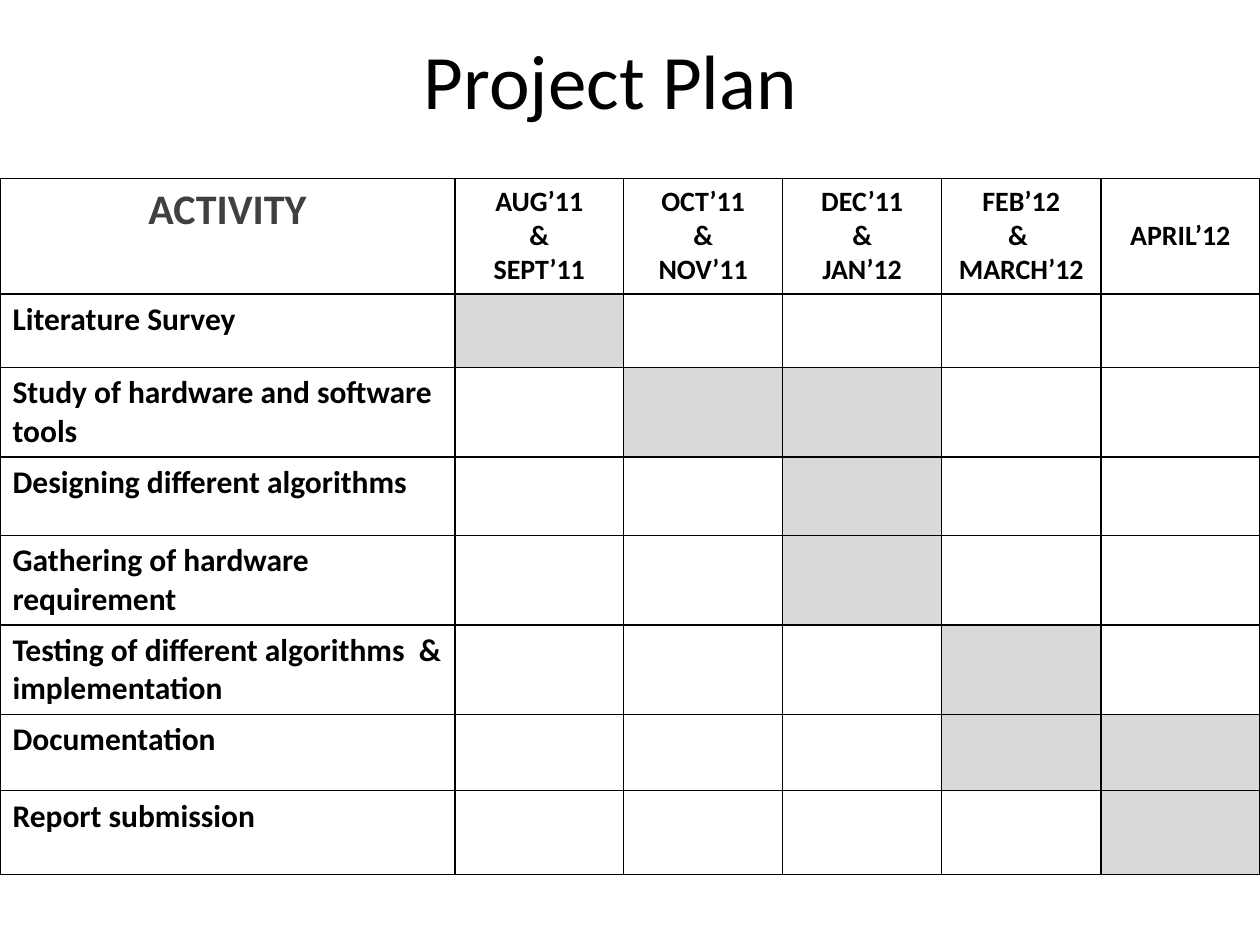
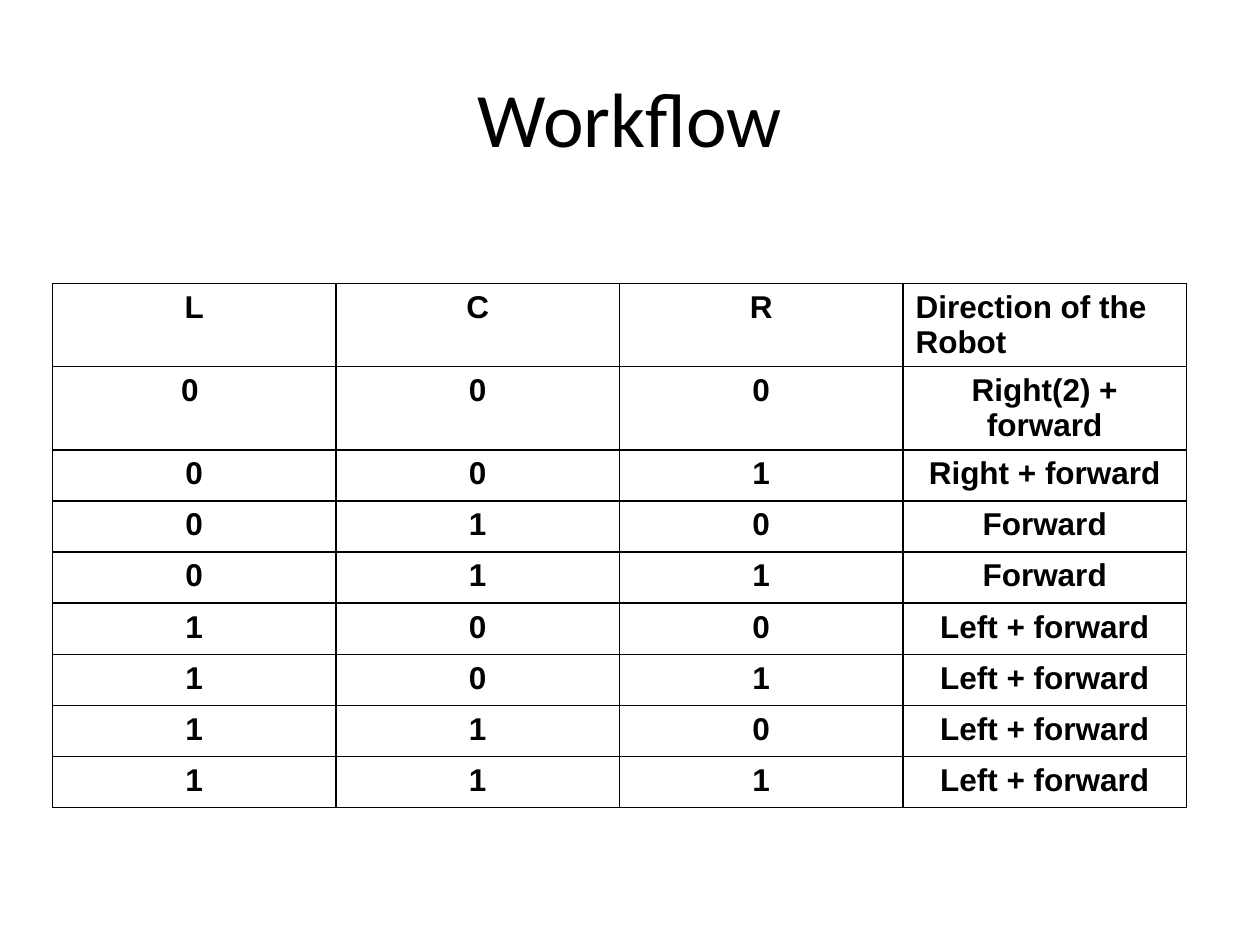
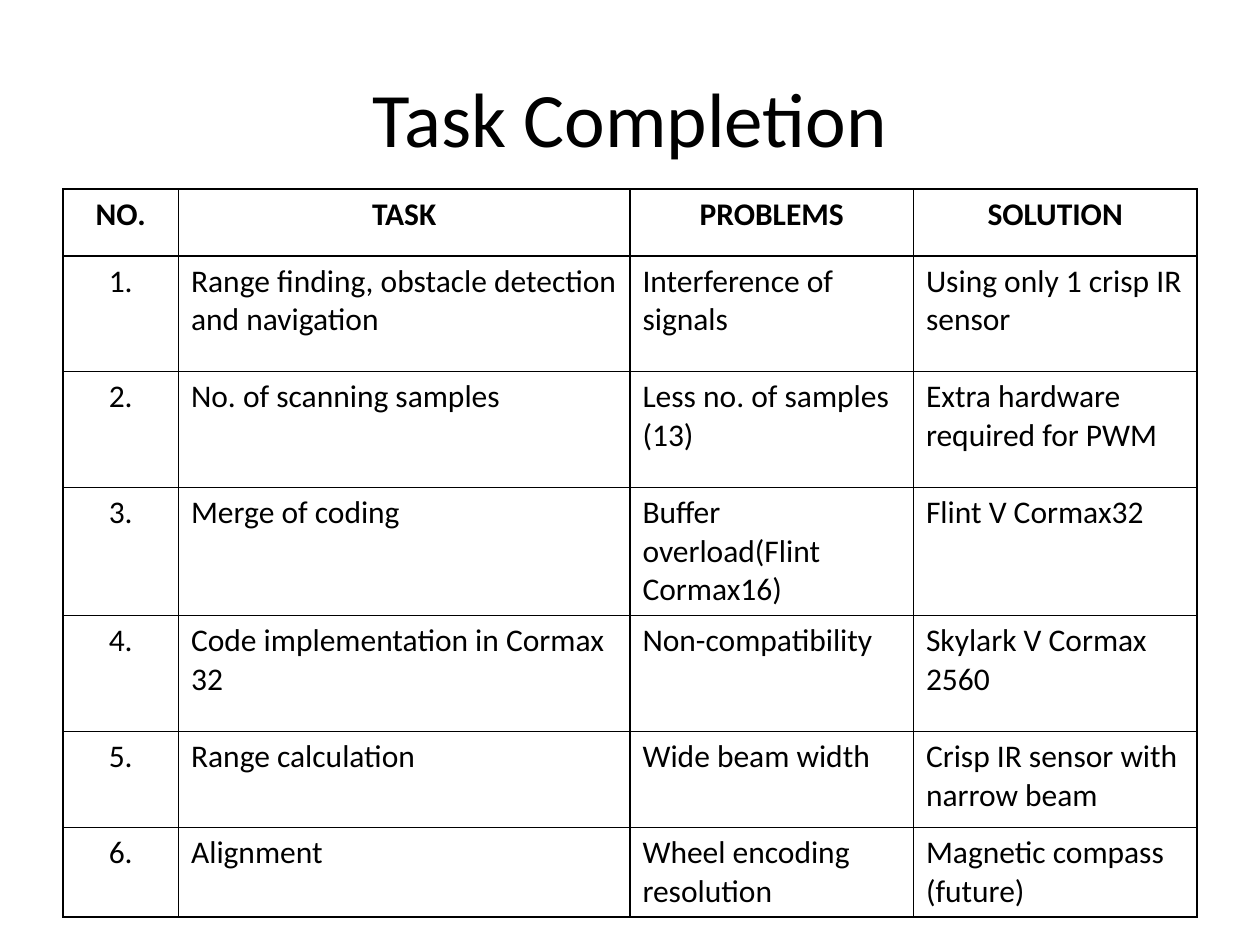
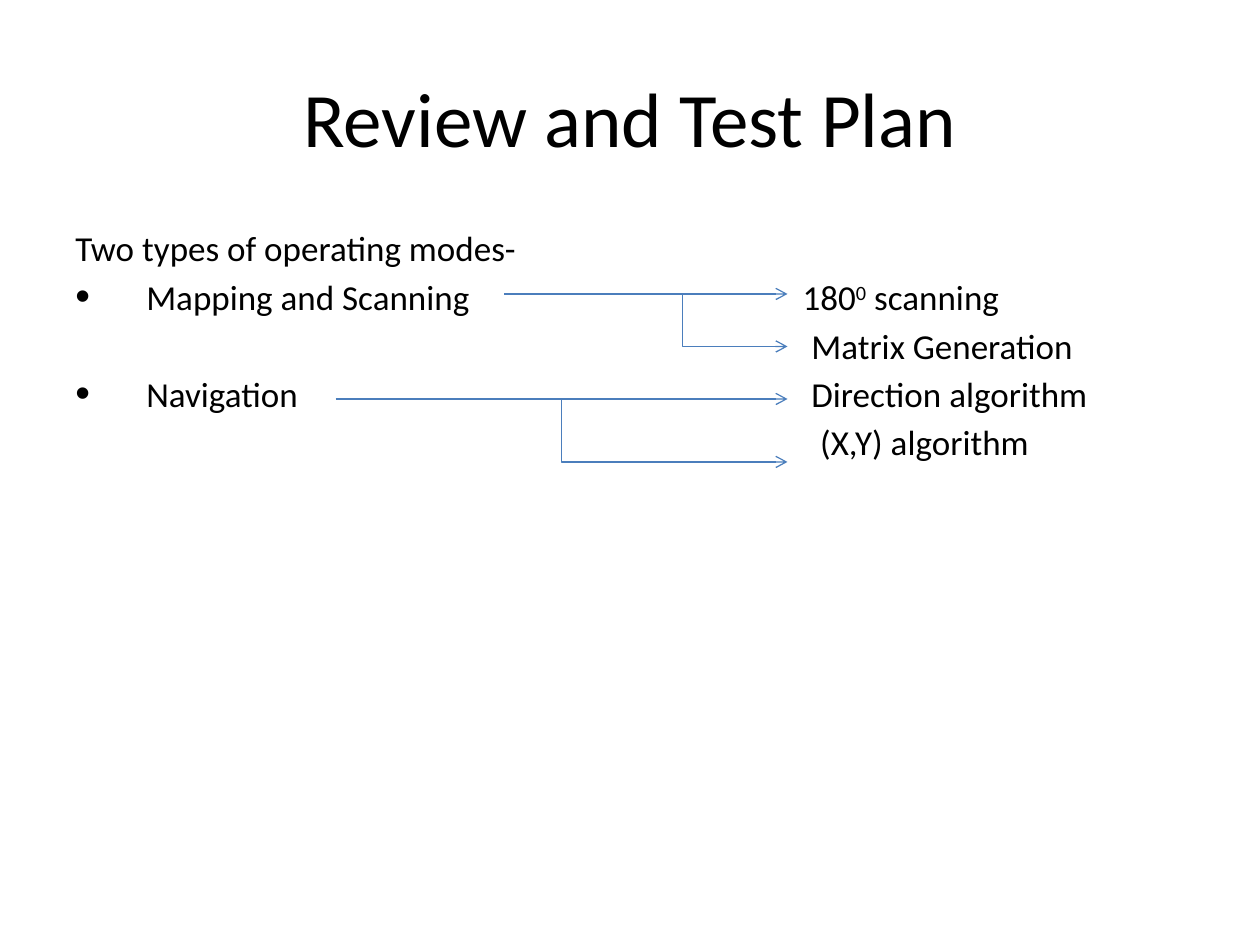
from dataclasses import dataclass
from typing import Callable, Optional, Sequence

from lxml import etree
from pptx import Presentation
from pptx import util as u
from pptx.dml.color import RGBColor
from pptx.enum import shapes, text
from pptx.oxml.ns import qn

# Shared look
BLACK, GREY, SHADE, BLUE = "000000", "404040", "D9D9D9", "4B7EBC"
CENTER, LEFT = text.PP_ALIGN.CENTER, text.PP_ALIGN.LEFT
TITLE_ONLY = 5
LINE_PITCH, LINE_GAP = 28, 3.6


@dataclass(frozen=True)
class CellStyle:
    size: float = 18
    bold: bool = True
    font: str = "Calibri"
    color: str = BLACK
    align: text.PP_ALIGN = LEFT
    anchor: text.MSO_ANCHOR = text.MSO_ANCHOR.TOP
    fill: Optional[str] = None


@dataclass(frozen=True)
class Grid:
    left: float
    top: float
    widths: Sequence[float]
    heights: Sequence[float]
    rows: Sequence[Sequence[str]]
    style: Callable[[int, int], CellStyle]


@dataclass(frozen=True)
class Arrow:
    start_x: float
    start_y: float
    end_y: float
    end_x: float = 450


@dataclass(frozen=True)
class Item:
    words: str
    indent: float = 0
    bullet: bool = False
    gap: float = LINE_GAP


def rgb(color: str) -> RGBColor:
    return RGBColor.from_string(color)


def add_text(paragraph, words: str, *, size: float = 20, bold: bool = False,
             font: str = "Calibri", color: str = BLACK,
             align: text.PP_ALIGN = LEFT, baseline: int = 0) -> None:
    """Append one formatted run to a paragraph."""
    paragraph.alignment = align
    run = paragraph.add_run()
    run.text = words
    run.font.size = u.Pt(size)
    run.font.bold = bold
    run.font.name = font
    run.font.color.rgb = rgb(color)
    if baseline:
        run.font._element.set("baseline", str(baseline * 1000))


def add_titled_slide(presentation, words: str, left: float = 36, top: float = 21.6):
    slide = presentation.slides.add_slide(presentation.slide_layouts[TITLE_ONLY])
    title = slide.shapes.title
    title.left, title.top = u.Pt(left), u.Pt(top)
    title.width, title.height = u.Pt(648), u.Pt(90)
    title.text_frame.vertical_anchor = text.MSO_ANCHOR.MIDDLE
    add_text(title.text_frame.paragraphs[0], words, size=44, align=CENTER)
    return slide


# Tables
def border_cell(cell, color: str = BLACK, width: float = 1) -> None:
    properties = cell._tc.get_or_add_tcPr()
    for index, side in enumerate(("lnL", "lnR", "lnT", "lnB")):
        line = etree.Element(qn(f"a:{side}"), w=str(u.Pt(width)))
        fill = etree.SubElement(line, qn("a:solidFill"))
        etree.SubElement(fill, qn("a:srgbClr"), val=color)
        properties.insert(index, line)


def fill_cell(cell, words: str, style: CellStyle) -> None:
    cell.vertical_anchor = style.anchor
    if style.fill:
        cell.fill.solid()
        cell.fill.fore_color.rgb = rgb(style.fill)
    else:
        cell.fill.background()
    border_cell(cell)
    if not words:
        return
    frame = cell.text_frame
    for index, line in enumerate(words.split("\n")):
        paragraph = frame.add_paragraph() if index else frame.paragraphs[0]
        add_text(paragraph, line, size=style.size, bold=style.bold,
                 font=style.font, color=style.color, align=style.align)


def draw_grid(slide, grid: Grid) -> None:
    table = slide.shapes.add_table(
        len(grid.rows), len(grid.widths), u.Pt(grid.left), u.Pt(grid.top),
        u.Pt(sum(grid.widths)), u.Pt(sum(grid.heights))).table
    table.first_row = table.horz_banding = False
    for column, width in zip(table.columns, grid.widths):
        column.width = u.Pt(width)
    for row, height in zip(table.rows, grid.heights):
        row.height = u.Pt(height)
    for r, words_in_row in enumerate(grid.rows):
        for c, words in enumerate(words_in_row):
            fill_cell(table.cell(r, c), words, grid.style(r, c))


# Lists and arrows
def set_bullet(paragraph, indent: float, bullet: bool) -> None:
    properties = paragraph._p.get_or_add_pPr()
    properties.set("marL", str(u.Pt(indent)))
    properties.set("indent", str(u.Pt(-indent if bullet else 0)))
    if bullet:
        etree.SubElement(properties, qn("a:buSzPct"), val="120000")
        etree.SubElement(properties, qn("a:buFont"), typeface="Arial")
        etree.SubElement(properties, qn("a:buChar"), char="•")
    else:
        etree.SubElement(properties, qn("a:buNone"))


def draw_list(slide, items: Sequence[Item], left: float, top: float,
              width: float, height: float) -> None:
    """Draw items; a caret in the words raises the character after it."""
    frame = slide.shapes.add_textbox(
        u.Pt(left), u.Pt(top), u.Pt(width), u.Pt(height)).text_frame
    frame.word_wrap = True
    for index, item in enumerate(items):
        paragraph = frame.add_paragraph() if index else frame.paragraphs[0]
        paragraph.space_before = u.Pt(item.gap)
        set_bullet(paragraph, item.indent, item.bullet)
        base, _, raised = item.words.partition("^")
        add_text(paragraph, base)
        if raised:
            add_text(paragraph, raised[0], baseline=30)
            add_text(paragraph, raised[1:])


def draw_arrow(slide, arrow: Arrow) -> None:
    kinds = shapes.MSO_CONNECTOR
    kind = kinds.STRAIGHT if arrow.start_y == arrow.end_y else kinds.ELBOW
    connector = slide.shapes.add_connector(
        kind, u.Pt(arrow.start_x), u.Pt(arrow.start_y),
        u.Pt(arrow.end_x), u.Pt(arrow.end_y))
    connector.line.color.rgb = rgb(BLUE)
    connector.line.width = u.Pt(0.75)
    etree.SubElement(connector.line._get_or_add_ln(), qn("a:tailEnd"), type="arrow")
    etree.SubElement(connector._element.spPr, qn("a:effectLst"))


# Slide 1: schedule, each activity with its shaded periods
def build_project_plan(presentation) -> None:
    periods = ["AUG’11\n&\nSEPT’11", "OCT’11\n&\nNOV’11", "DEC’11\n&\nJAN’12",
               "FEB’12\n& \nMARCH’12", "APRIL’12"]
    schedule = [
        ("Literature Survey", {1}),
        ("Study of hardware and software tools", {2, 3}),
        ("Designing different algorithms", {3}),
        ("Gathering of hardware requirement", {3}),
        ("Testing of different algorithms  & implementation", {4}),
        ("Documentation", {4, 5}),
        ("Report submission", {5}),
    ]

    def style(row: int, column: int) -> CellStyle:
        if row == 0 and column == 0:
            return CellStyle(size=24, color=GREY, align=CENTER)
        if row == 0:
            last = column == len(periods)
            anchor = text.MSO_ANCHOR.MIDDLE if last else text.MSO_ANCHOR.TOP
            return CellStyle(size=16, align=CENTER, anchor=anchor)
        return CellStyle(fill=SHADE if column in schedule[row - 1][1] else None)

    rows = [["ACTIVITY", *periods]]
    rows += [[activity] + [""] * len(periods) for activity, _ in schedule]
    slide = add_titled_slide(presentation, "Project Plan ", left=30, top=0)
    draw_grid(slide, Grid(0, 102, [260, 96.4] + [90.9] * 4,
                          [60, 42, 48, 45, 42, 45, 43.5, 48], rows, style))


# Slide 2: sensor readings and the resulting direction
def build_workflow(presentation) -> None:
    directions = ["Right(2) + forward", "Right + forward", "Forward", "Forward"]
    directions += ["Left + forward"] * 4
    rows = [["L", "C", "R", "Direction of the Robot"]]
    rows += [[*f"{reading:03b}", direction]
             for reading, direction in enumerate(directions)]
    rows[1][0] = "0 "

    def style(row: int, column: int) -> CellStyle:
        heading = row == 0 and column == 3
        return CellStyle(font="Arial", align=LEFT if heading else CENTER)

    slide = add_titled_slide(presentation, "Workflow")
    draw_grid(slide, Grid(30, 162, [162] * 4, [29.2] * len(rows), rows, style))


# Slide 3: tasks with problems and solutions
def build_task_completion(presentation) -> None:
    tasks = [
        ("Range finding, obstacle detection and navigation",
         "Interference of signals", "Using only 1 crisp IR sensor"),
        ("No. of scanning samples", "Less no. of samples (13)",
         "Extra hardware required for PWM"),
        ("Merge of coding", "Buffer overload(Flint Cormax16)", "Flint V Cormax32"),
        ("Code implementation in Cormax 32", "Non-compatibility",
         "Skylark V Cormax 2560"),
        ("Range calculation", "Wide beam width", "Crisp IR sensor with narrow beam"),
        ("Alignment", "Wheel encoding resolution", "Magnetic compass (future)"),
    ]
    rows = [("NO.", "TASK", "PROBLEMS", "SOLUTION")]
    rows += [(f"{number}.", *task) for number, task in enumerate(tasks, 1)]

    def style(row: int, column: int) -> CellStyle:
        centred = row == 0 or column == 0
        return CellStyle(bold=row == 0, align=CENTER if centred else LEFT)

    slide = add_titled_slide(presentation, "Task Completion")
    draw_grid(slide, Grid(36, 108, [66, 258, 162, 162],
                          [38.2] + [66.2] * 4 + [55, 38.2], rows, style))


# Slide 4: operating modes leading to their tests
def build_review(presentation) -> None:
    slide = add_titled_slide(presentation, "Review and Test Plan")
    top = 126
    modes = [Item("Two types of operating modes-"),
             Item("Mapping and Scanning", 40.5, True),
             Item("Navigation", 40.5, True, LINE_GAP + LINE_PITCH)]
    tests = [Item("180^0 scanning"), Item("Matrix Generation", 5),
             Item("Direction algorithm", 5), Item("(X,Y) algorithm", 10)]
    draw_list(slide, modes, 36, top, 400, 5 * LINE_PITCH)
    draw_list(slide, tests, 451.6, top + LINE_PITCH, 232, 4 * LINE_PITCH)
    for arrow in (Arrow(288, 168, 168), Arrow(330, 168, 198),
                  Arrow(192, 228, 228), Arrow(192, 228, 264)):
        draw_arrow(slide, arrow)


def main() -> None:
    presentation = Presentation()
    presentation.slide_width, presentation.slide_height = u.Pt(720), u.Pt(540)
    for build in (build_project_plan, build_workflow,
                  build_task_completion, build_review):
        build(presentation)
    presentation.save("out.pptx")


if __name__ == "__main__":
    main()
